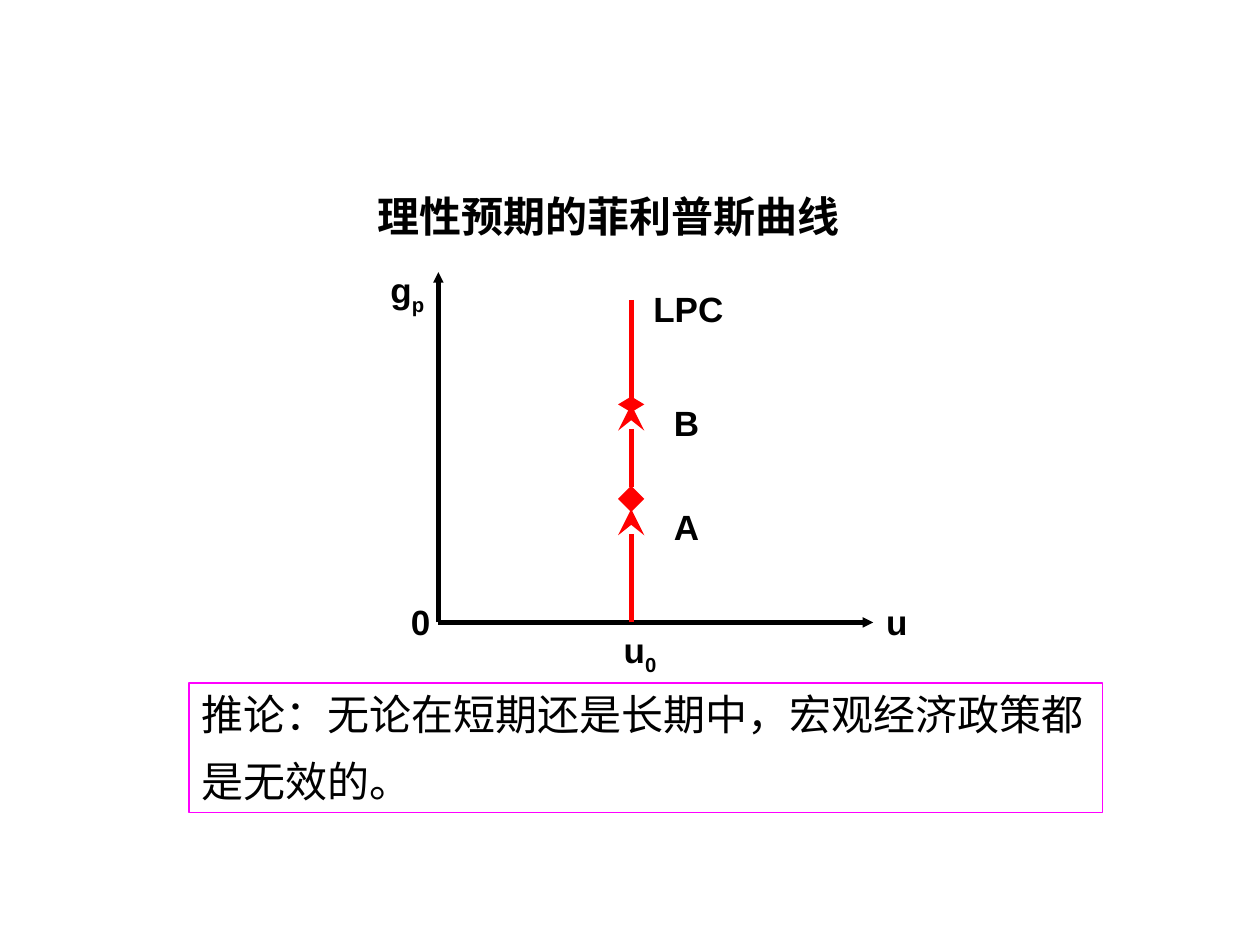
from lxml import etree
from pptx import Presentation
from pptx.dml.color import RGBColor
from pptx.enum.shapes import MSO_CONNECTOR, MSO_SHAPE
from pptx.enum.text import MSO_ANCHOR, PP_ALIGN
from pptx.oxml.ns import qn
from pptx.util import Pt

LINE = MSO_CONNECTOR.STRAIGHT
RECT = MSO_SHAPE.RECTANGLE
TOP, MID = MSO_ANCHOR.TOP, MSO_ANCHOR.MIDDLE
LEFT, MIDDLE = PP_ALIGN.LEFT, PP_ALIGN.CENTER
COLORS = {"ink": "000000", "curve": "FF0000", "frame": "FF00FF", "paper": "FFFFFF"}
HAN = "Noto Sans CJK SC"


def color(name):
    return RGBColor.from_string(COLORS[name])


def write(shape, *lines, size=20, font="Arial", bold=True, align=LEFT,
          anchor=TOP, gap=0, sub=""):
    frame = shape.text_frame
    frame.word_wrap = True
    frame.vertical_anchor = anchor
    for i, line in enumerate(lines):
        para = frame.add_paragraph() if i else frame.paragraphs[0]
        para.alignment = align
        para.space_before = Pt(gap if i else 0)
        for text, base in ((line, 0), (sub, -25000)):
            if not text:
                continue
            run = para.add_run()
            run.text = text
            run.font.size = Pt(size)
            run.font.bold = bold
            run.font.name = font
            run.font.color.rgb = color("ink")
            props = run.font._element
            etree.SubElement(props, qn("a:ea"), typeface=font)
            if base:
                props.set("baseline", str(base))


def label(shapes, text, x, y, w=28.8, h=31.7, sub=""):
    box = shapes.add_textbox(Pt(x), Pt(y), Pt(w), Pt(h))
    write(box, text, sub=sub)


def stroke(shapes, start, end, name, head=None, tail=None):
    line = shapes.add_connector(LINE, *(Pt(v) for v in start + end))
    line.line.width = Pt(3)
    line.line.color.rgb = color(name)
    for tag, tip in (("a:headEnd", head), ("a:tailEnd", tail)):
        if tip:
            kind, wide, long = tip
            etree.SubElement(line.line._ln, qn(tag), type=kind, w=wide, len=long)
    etree.SubElement(line._element.spPr, qn("a:effectLst"))


def graph(slide):
    shapes = slide.shapes.add_group_shape().shapes
    zero, base, mid = 250.5, 355.7, 360.7
    low, high = 285.1, 231.1
    arrow = ("triangle", "sm", "sm")
    barb = ("stealth", "lg", "lg")
    stroke(shapes, (zero, base), (zero, 155.5), "ink", tail=arrow)
    stroke(shapes, (zero, base), (499, base), "ink", tail=arrow)
    stroke(shapes, (mid, base), (mid, 290.9), "curve", tail=barb)
    stroke(shapes, (mid, low), (mid, high), "curve",
           head=("diamond", "lg", "lg"), tail=barb)
    stroke(shapes, (mid, 171.4), (mid, high), "curve", tail=("diamond", "lg", "med"))
    label(shapes, "A", 378, 285.4)
    label(shapes, "B", 378, 226)
    label(shapes, "u", 349.3, 355.7, w=40.3, h=34.6, sub="0")
    label(shapes, "u", 499.3, 339.8)
    label(shapes, "g", 216, 149.8, w=40.3, h=34.6, sub="p")
    label(shapes, "0", 227.8, 339.8)
    label(shapes, "LPC", 366.2, 160.6, w=63.4)


def note(slide):
    box = slide.shapes.add_shape(RECT, Pt(108), Pt(390.2), Pt(522), Pt(74.2))
    box.shadow.inherit = False
    box.fill.solid()
    box.fill.fore_color.rgb = color("paper")
    box.line.color.rgb = color("frame")
    box.line.width = Pt(1)
    write(box, "推论：无论在短期还是长期中，宏观经济政策都", "是无效的。",
          size=24, bold=False, gap=9)


def main():
    deck = Presentation()
    deck.slide_width, deck.slide_height = Pt(720), Pt(540)
    slide = deck.slides.add_slide(deck.slide_layouts[5])
    title = slide.shapes.title
    title.left, title.top = Pt(203.8), Pt(102.2)
    title.width, title.height = Pt(288), Pt(41.8)
    write(title, "理性预期的菲利普斯曲线", size=24, font=HAN, align=MIDDLE, anchor=MID)
    graph(slide)
    note(slide)
    deck.save("out.pptx")


if __name__ == "__main__":
    main()
